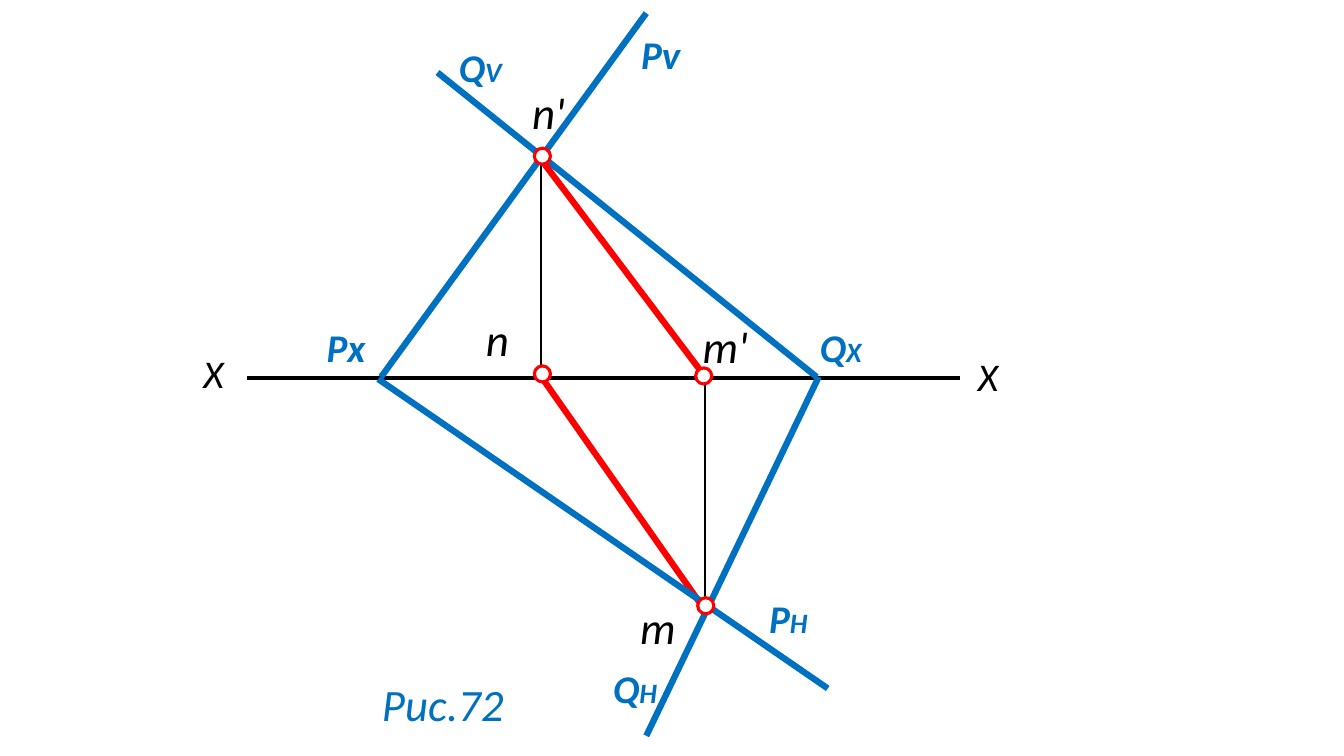
import pptx
import pptx.dml.color
import pptx.enum.shapes
import pptx.oxml.ns
import pptx.util
from lxml import etree
from pptx.util import Inches

COLORS = {"black": "000000", "blue": "0070C0", "red": "FF0000", "white": "FFFFFF"}
FONT = "Calibri"
DOT = 0.16

# Lengths are inches from the corner of the figure's box.
# Start, end, colour, width
LINES = [
    ((3.47, 1.5), (3.47, 3.63), "black", 1.5),   # n' to n
    ((5.09, 3.66), (5.09, 5.95), "black", 1.5),  # m' to m
    ((5.09, 5.95), (3.47, 3.64), "red", 4.5),    # m to n
    ((7.62, 3.65), (0.55, 3.65), "black", 3),    # X axis
    ((4.51, 0.03), (1.88, 3.64), "blue", 4.5),   # trace Pv
    ((6.31, 6.73), (1.85, 3.66), "blue", 4.5),   # trace PH
    ((6.2, 3.64), (2.44, 0.62), "blue", 4.5),    # trace QV
    ((6.22, 3.64), (4.51, 7.2), "blue", 4.5),    # trace QH
    ((5.11, 3.66), (3.48, 1.5), "red", 4.5),     # m' to n'
]

# Text, small suffix, left, top, width
TRACES = [
    ("Q", "H", 4.08, 6.44, 0.7),
    ("Q", "V", 2.55, 0.28, 0.7),
    ("P", "H", 5.63, 5.75, 0.89),
    ("Pv", "", 4.36, 0.15, 0.89),
    ("Q", "X", 6.13, 3.06, 0.7),
    ("Px", "", 1.24, 3.06, 0.89),
]

# Text, left, top, width, size, colour
LABELS = [
    ("X", 7.7, 3.35, 0.89, 28, "black"),
    ("X", 0.02, 3.32, 0.66, 28, "black"),
    ("n", 2.82, 2.94, 0.43, 32, "black"),
    ("n'", 3.28, 0.69, 0.69, 32, "black"),
    ("m'", 4.97, 3.01, 0.69, 32, "black"),
    ("m", 4.35, 5.8, 0.43, 32, "black"),
    ("Рис.72", 1.79, 6.56, 1.49, 32, "blue"),
]

# Centres of the marked points n', n, m, m'
DOTS = [(3.48, 1.45), (3.48, 3.61), (5.1, 5.91), (5.08, 3.63)]


def color(name):
    return pptx.dml.color.RGBColor.from_string(COLORS[name])


def add_text(slide, text, x, y, width, size=28, tone="black", bold=False, suffix=""):
    """Add an italic label, with an optional smaller suffix."""
    box = slide.shapes.add_textbox(
        Inches(x), Inches(y), Inches(width), Inches(size / 50))
    box.text_frame.word_wrap = True
    para = box.text_frame.paragraphs[0]
    for part, points in ((text, size), (suffix, 20)):
        if part:
            run = para.add_run()
            run.text = part
            run.font.name = FONT
            run.font.size = pptx.util.Pt(points)
            run.font.bold = bold
            run.font.italic = True
            run.font.color.rgb = color(tone)


def add_line(slide, x1, y1, x2, y2, tone, width):
    line = slide.shapes.add_connector(
        pptx.enum.shapes.MSO_CONNECTOR.STRAIGHT,
        Inches(x1), Inches(y1), Inches(x2), Inches(y2))
    line.line.color.rgb = color(tone)
    line.line.width = pptx.util.Pt(width)
    etree.SubElement(line._element.spPr, pptx.oxml.ns.qn("a:effectLst"))


def add_dot(slide, x, y):
    dot = slide.shapes.add_shape(
        pptx.enum.shapes.MSO_SHAPE.OVAL,
        Inches(x - DOT / 2), Inches(y - DOT / 2), Inches(DOT), Inches(DOT))
    dot.shadow.inherit = False
    dot.fill.solid()
    dot.fill.fore_color.rgb = color("white")
    dot.line.color.rgb = color("red")
    dot.line.width = pptx.util.Pt(2.25)


def add_figure(slide, left, top):
    for (x1, y1), (x2, y2), tone, width in LINES:
        add_line(slide, left + x1, top + y1, left + x2, top + y2, tone, width)
    for text, suffix, x, y, width in TRACES:
        add_text(slide, text, left + x, top + y, width,
                 tone="blue", bold=True, suffix=suffix)
    for text, x, y, width, size, tone in LABELS:
        add_text(slide, text, left + x, top + y, width, size=size, tone=tone)
    for x, y in DOTS:
        add_dot(slide, left + x, top + y)


def main():
    deck = pptx.Presentation()
    deck.slide_width = Inches(13.33)
    deck.slide_height = Inches(7.5)
    slide = deck.slides.add_slide(deck.slide_layouts[6])
    add_figure(slide, 1.9, 0.1)
    deck.save("out.pptx")


if __name__ == "__main__":
    main()
